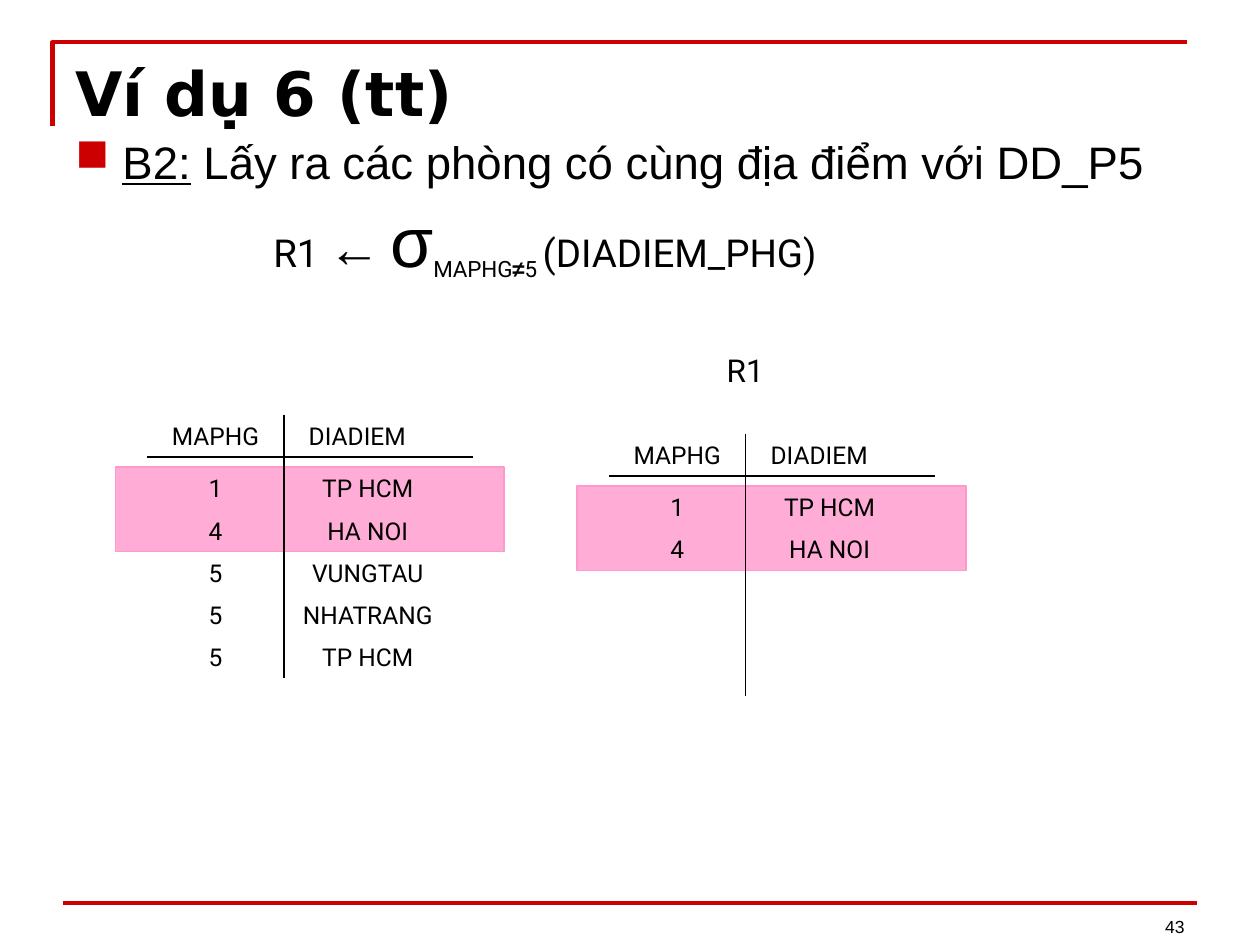
"""Build the slide on selecting rooms in step two of example six."""
from typing import NamedTuple

from lxml.etree import SubElement
from pptx import Presentation
from pptx.dml.color import RGBColor
from pptx.enum.shapes import MSO_CONNECTOR, MSO_SHAPE
from pptx.enum.text import MSO_ANCHOR, PP_ALIGN
from pptx.oxml.ns import qn
from pptx.util import Cm, Pt

RED = RGBColor(0xCC, 0x00, 0x00)
PINK = RGBColor(0xFF, 0x99, 0xCC)
BLACK = RGBColor(0x00, 0x00, 0x00)
SANS = "Arial"
ROBO = "Roboto"


class Box(NamedTuple):
    left: float
    top: float
    width: float
    height: float


class Part(NamedTuple):
    text: str
    size: float = 22
    face: str = ROBO
    bold: bool = False
    low: bool = False


class Grid(NamedTuple):
    left: float
    top: float
    rows: list[tuple[str, str]]


FIRST = [("1", "TP HCM"), ("4", "HA NOI")]
REST = [("5", "VUNGTAU"), ("5", "NHATRANG"), ("5", "TP HCM")]
GRIDS = [Grid(2.97, 8.36, FIRST + REST), Grid(12.28, 8.74, FIRST)]
SPLIT, ROW, START = 2.75, 0.85, 1.06

FORM = [
    Part("R1 "),
    Part("←", 30, SANS),
    Part(" "),
    Part("σ", 40, SANS),
    Part("MAPHG", low=True),
    Part("≠", face=SANS, bold=True, low=True),
    Part("5 ", low=True),
    Part("(DIADIEM_PHG)"),
]


def add_text(shapes, box: Box, text: str, size: float, face: str = ROBO,
             align: PP_ALIGN = PP_ALIGN.LEFT, bold: bool = False):
    shape = shapes.add_textbox(*map(Cm, box))
    frame = shape.text_frame
    frame.word_wrap = True
    para = frame.paragraphs[0]
    para.text = text
    para.alignment = align
    font = para.font
    font.size, font.name, font.bold = Pt(size), face, bold
    font.color.rgb = BLACK
    return frame


def add_line(shapes, x1: float, y1: float, x2: float, y2: float,
             hue: RGBColor = BLACK, width: float = 1) -> None:
    line = shapes.add_connector(MSO_CONNECTOR.STRAIGHT, *map(Cm, (x1, y1, x2, y2)))
    line.line.color.rgb = hue
    line.line.width = Pt(width)
    SubElement(line._element.spPr, qn("a:effectLst"))


def add_band(shapes, box: Box) -> None:
    band = shapes.add_shape(MSO_SHAPE.RECTANGLE, *map(Cm, box))
    band.shadow.inherit = False
    band.fill.solid()
    band.fill.fore_color.rgb = PINK
    tint = band._element.spPr.find(qn("a:solidFill"))[0]
    SubElement(tint, qn("a:alpha"), val="80000")
    band.line.color.rgb = PINK
    band.line.width = Pt(1)


def add_grid(shapes, grid: Grid) -> None:
    left, top, rows = grid
    mid = left + SPLIT
    add_band(shapes, Box(left - 0.64, top + START, 7.83, 2 * ROW))
    add_line(shapes, left, top + ROW, left + 6.56, top + ROW)
    add_line(shapes, mid, top, mid, top + 5.3)

    def add_row(y: float, pair: tuple[str, str], width: float) -> None:
        for x, span, text in zip((left, mid), (SPLIT, width), pair):
            add_text(shapes, Box(x, y, span, ROW), text, 14, align=PP_ALIGN.CENTER)

    add_row(top, ("MAPHG", "DIADIEM"), 2.97)
    for i, pair in enumerate(rows):
        add_row(top + START + i * ROW, pair, 3.39)


def add_frame(shapes) -> None:
    pen = shapes.build_freeform(Cm(1.06), Cm(2.54))
    pen.add_line_segments([(Cm(1.06), Cm(0.85)), (Cm(23.92), Cm(0.85))], close=False)
    edge = pen.convert_to_shape()
    edge.shadow.inherit = False
    edge.fill.background()
    edge.line.color.rgb = RED
    edge.line.width = Pt(2.5)
    add_line(shapes, 1.27, 18.2, 24.13, 18.2, RED, 2)


def add_point(shapes) -> None:
    frame = add_text(shapes, Box(1.27, 2.57, 22.86, 3.33), "", 26, SANS, PP_ALIGN.JUSTIFY)
    para = frame.paragraphs[0]
    props = para._p.get_or_add_pPr()
    props.set("marL", str(Cm(0.95)))
    props.set("indent", str(-Cm(0.95)))
    tint = SubElement(props, qn("a:buClr"))
    SubElement(tint, qn("a:srgbClr"), val=str(RED))
    SubElement(props, qn("a:buChar"), char="■")
    props.append(props.find(qn("a:defRPr")))
    for text, under in (("B2:", True), (" Lấy ra các phòng có cùng địa điểm với DD_P5", False)):
        run = para.add_run()
        run.text = text
        run.font.underline = under


def add_form(shapes) -> None:
    para = add_text(shapes, Box(5.26, 3.86, 12.7, 1.96), "", 22).paragraphs[0]
    for part in FORM:
        run = para.add_run()
        run.text = part.text
        font = run.font
        font.size, font.name, font.bold = Pt(part.size), part.face, part.bold
        if part.low:
            font._element.set("baseline", "-25000")


def main() -> None:
    deck = Presentation()
    deck.slide_width, deck.slide_height = Cm(25.4), Cm(19.05)
    shapes = deck.slides.add_slide(deck.slide_layouts[6]).shapes
    add_frame(shapes)
    page = add_text(shapes, Box(18.21, 17.75, 5.92, 1.27), "43", 10, SANS, PP_ALIGN.RIGHT)
    page.vertical_anchor = MSO_ANCHOR.BOTTOM
    add_text(shapes, Box(1.27, 0.99, 22.86, 1.73), "Ví dụ 6 (tt)", 35, "DejaVu Sans", bold=True)
    add_point(shapes)
    add_form(shapes)
    for grid in GRIDS:
        add_grid(shapes.add_group_shape().shapes, grid)
    add_text(shapes, Box(14.4, 6.96, 2.11, 1.02), "R1", 18)
    deck.save("out.pptx")


if __name__ == "__main__":
    main()
